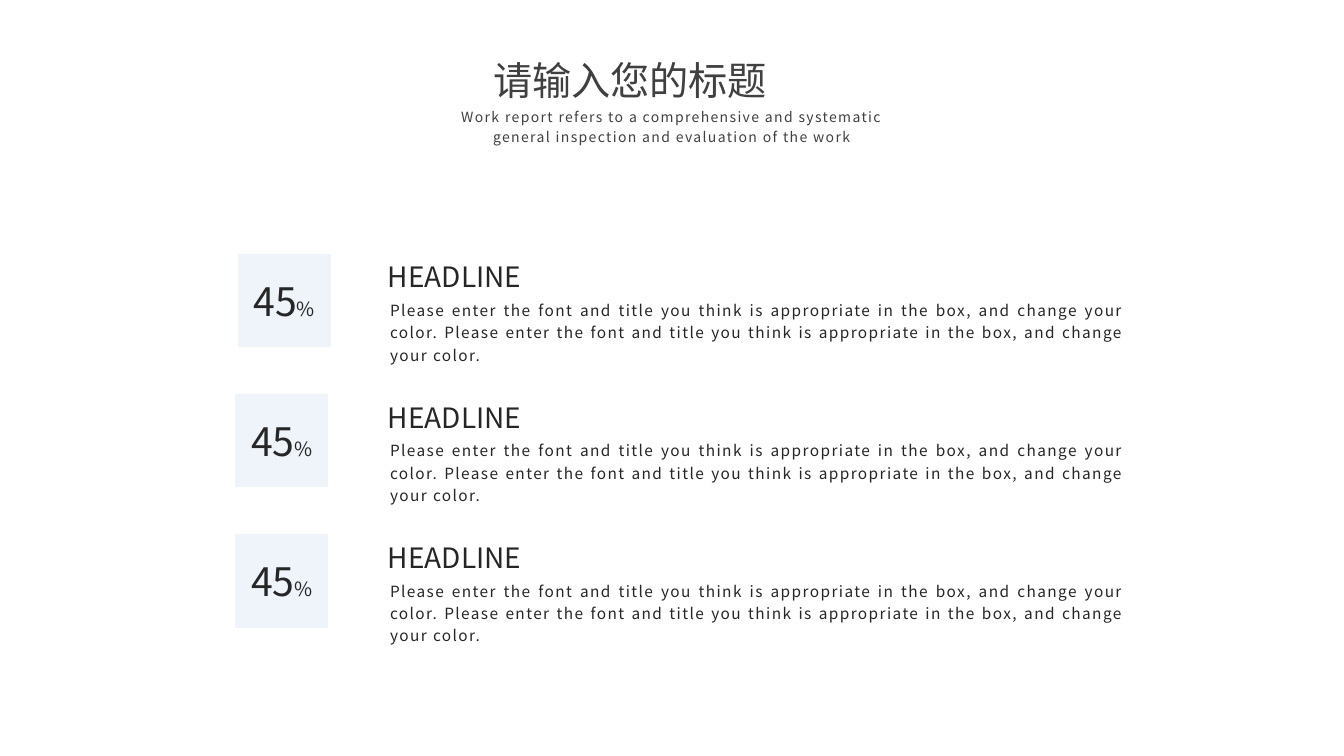
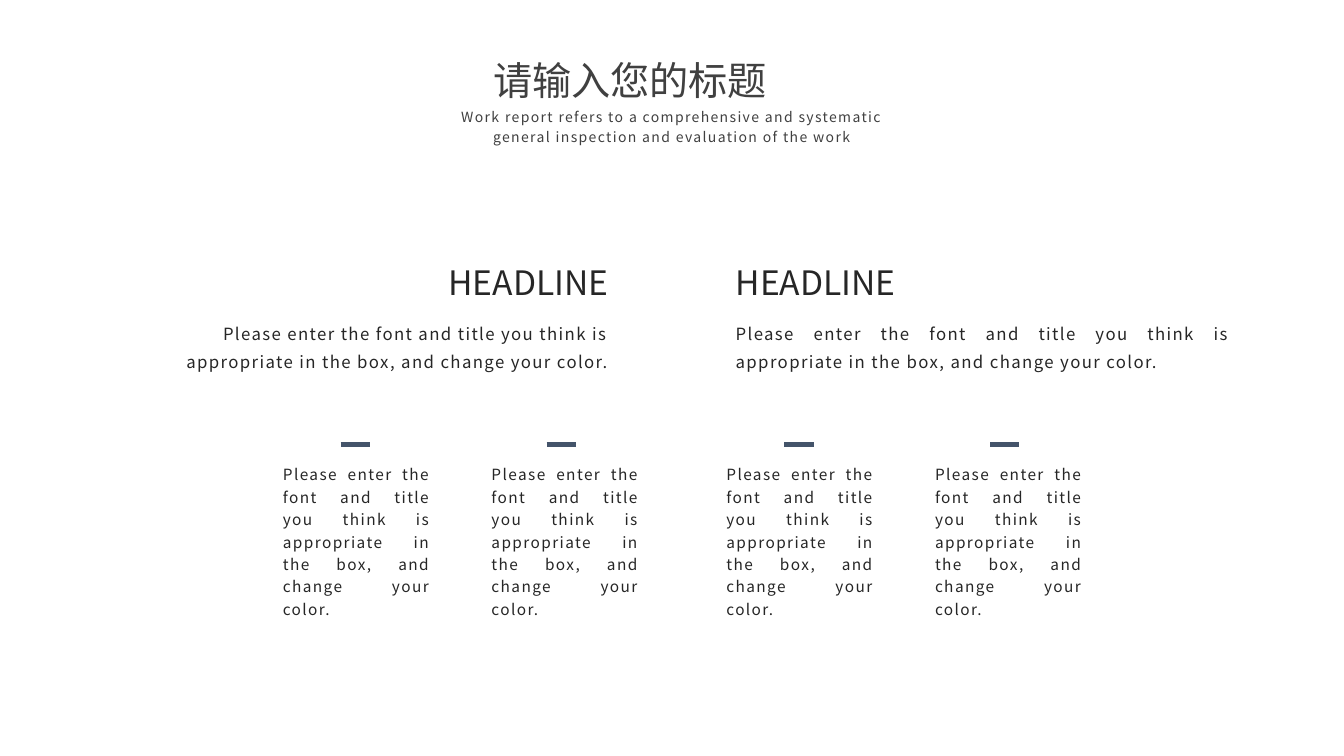
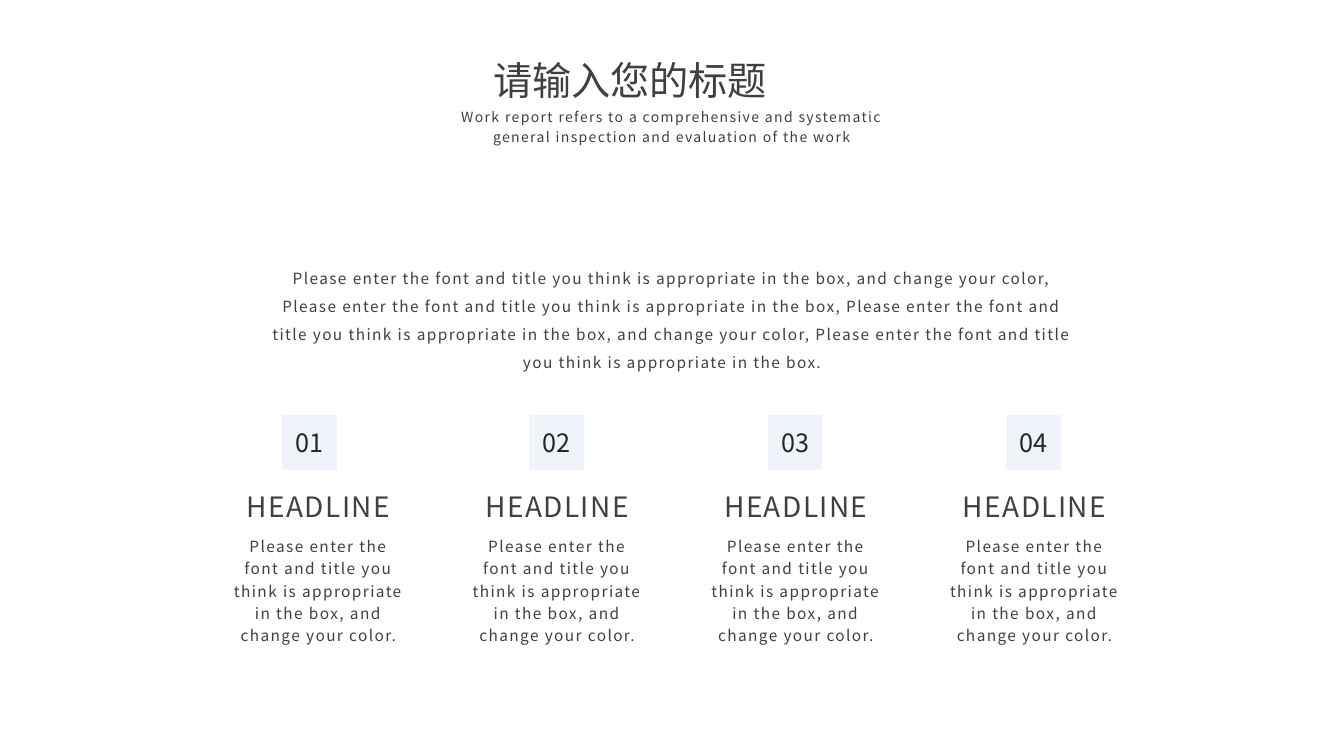
from pptx import Presentation
from pptx.dml.color import RGBColor
from pptx.enum.shapes import MSO_CONNECTOR, MSO_SHAPE
from pptx.enum.text import MSO_ANCHOR, MSO_AUTO_SIZE, PP_ALIGN
from pptx.oxml.ns import qn
from pptx.util import Pt
from lxml.etree import SubElement

# Shared look
FONT = "Noto Sans CJK SC"
COLORS = {"grey": "404040", "ink": "262626", "tile": "DEEBF7",
          "white": "FFFFFF", "rule": "44546A"}
LEFT, RIGHT = PP_ALIGN.LEFT, PP_ALIGN.RIGHT
MID, JUST = PP_ALIGN.CENTER, PP_ALIGN.JUSTIFY

# Shared wording
TITLE = "请输入您的标题"
SUB = ("Work report refers to a comprehensive and systematic "
       "general inspection and evaluation of the work")
HEAD = "HEADLINE"
ASK = "Please enter the font and title you think is appropriate in the box"
BODY = f"{ASK}, and change your color."
INTRO = f"{ASK}, and change your color, {ASK}, {ASK}, and change your color, {ASK}."

# Text styles: size, colour, alignment, line pitch and letter spacing
STYLES = {
    "title": {"size": 28, "color": "grey", "align": JUST},
    "sub": {"size": 10, "color": "grey", "align": MID, "pitch": 14, "track": 1},
    "head": {"size": 20, "color": "ink", "align": JUST},
    "body": {"size": 11, "color": "ink", "align": JUST, "pitch": 16, "track": 1},
    "big": {"size": 24, "color": "ink", "align": JUST},
    "lead": {"size": 12, "color": "ink", "align": JUST, "pitch": 20, "track": 1},
    "intro": {"size": 11, "color": "grey", "align": MID, "pitch": 20, "track": 1},
    "name": {"size": 20, "color": "grey", "align": MID, "track": 1},
    "note": {"size": 11, "color": "grey", "align": MID, "pitch": 16, "track": 1},
    "rate": {"size": 28, "color": "ink", "align": MID},
    "num": {"size": 18, "color": "ink", "align": MID},
}


def color(name):
    return RGBColor.from_string(COLORS[name])


def apply(target, values):
    for key, value in values.items():
        setattr(target, key, value)


def write(shape, runs, style, align=None, **frame):
    """Fill a shape with one paragraph; runs are (text, size) pairs."""
    look = STYLES[style]
    apply(shape.text_frame, {"word_wrap": True, "vertical_anchor": MSO_ANCHOR.TOP,
                             "auto_size": MSO_AUTO_SIZE.SHAPE_TO_FIT_TEXT, **frame})
    para = shape.text_frame.paragraphs[0]
    para.alignment = align or look["align"]
    if "pitch" in look:
        para.line_spacing = Pt(look["pitch"])
    for text, size in runs:
        run = para.add_run()
        run.text = text
        apply(run.font, {"size": Pt(size), "name": FONT})
        run.font.color.rgb = color(look["color"])
    # East Asian font and letter spacing
    for props in shape.element.iter(qn("a:rPr")):
        SubElement(props, qn("a:ea"), typeface=FONT)
        if "track" in look:
            props.set("spc", str(look["track"] * 100))


def label(slide, text, style, box, align=None):
    shape = slide.shapes.add_textbox(*map(Pt, box))
    write(shape, [(text, STYLES[style]["size"])], style, align)


def tile(slide, left, top, side, runs, style):
    """Half-clear square with centred text."""
    shape = slide.shapes.add_shape(MSO_SHAPE.RECTANGLE,
                                   *map(Pt, (left, top, side, side)))
    shape.shadow.inherit = False
    shape.fill.solid()
    shape.fill.fore_color.rgb = color("tile")
    tint = shape.element.spPr.find(qn("a:solidFill")).find(qn("a:srgbClr"))
    SubElement(tint, qn("a:alpha"), val="50000")
    shape.line.color.rgb = color("white")
    shape.line.width = Pt(1)
    write(shape, runs, style, auto_size=MSO_AUTO_SIZE.NONE,
          vertical_anchor=MSO_ANCHOR.MIDDLE, margin_left=0, margin_right=0)


def dash(slide, left, top, width):
    line = slide.shapes.add_connector(MSO_CONNECTOR.STRAIGHT,
                                      *map(Pt, (left, top, left + width, top)))
    line.line.color.rgb = color("rule")
    line.line.width = Pt(3)
    SubElement(line.element.spPr, qn("a:effectLst"))


def start(deck):
    """New slide with the shared title and subtitle."""
    slide = deck.slides.add_slide(deck.slide_layouts[5])
    title = slide.shapes.title
    apply(title, dict(zip(("left", "top", "width", "height"),
                          map(Pt, (345, 36.7, 270.7, 41)))))
    write(title, [(TITLE, STYLES["title"]["size"])], "title")
    label(slide, SUB, "sub", (306.7, 72, 346.3, 33.8))
    return slide


def rates(deck):
    slide = start(deck)
    for row, left in enumerate((169.3, 167.6, 167.6)):
        down = row * 100.25
        label(slide, f"{BODY} {BODY}", "body", (271.5, 208.7 + down, 538.6, 37.4))
        label(slide, HEAD, "head", (270, 182 + down, 159, 31.7))
        tile(slide, left, 180.8 + down, 67.5, [("45", 28), ("%", 14)], "rate")


def halves(deck):
    slide = start(deck)
    # Headline and lead text of each half
    for right, align, side in ((441.6, RIGHT, 1), (518.4, JUST, 0)):
        for text, style, top, width, height in (
                (HEAD, "big", 183.6, 159, 36), (BODY, "lead", 221.8, 367.2, 45.4)):
            label(slide, text, style, (right - side * width, top, width, height), align)
    # Two short columns under each half
    for left in (195, 511.8):
        for col in range(2):
            label(slide, BODY, "body", (left + col * 149, 326.2, 119.5, 86.4))
            dash(slide, left + 48.4 + col * 147, 317.5, 21)


def steps(deck):
    slide = start(deck)
    label(slide, INTRO, "intro", (182, 182, 596.2, 85))
    for col, inset in enumerate((42.5, 48.5, 48.5, 48.5)):
        left = 158.4 + col * 170.5
        label(slide, BODY, "note", (left, 377.3, 138.2, 69.8))
        label(slide, HEAD, "name", (left + 6.5, 346.3, 125.2, 31.7))
        tile(slide, left + inset, 296, 40, [(f"{col + 1:02}", 18)], "num")


def main():
    deck = Presentation()
    apply(deck, {"slide_width": Pt(960), "slide_height": Pt(540)})
    for build in (rates, halves, steps):
        build(deck)
    deck.save("out.pptx")


if __name__ == "__main__":
    main()
